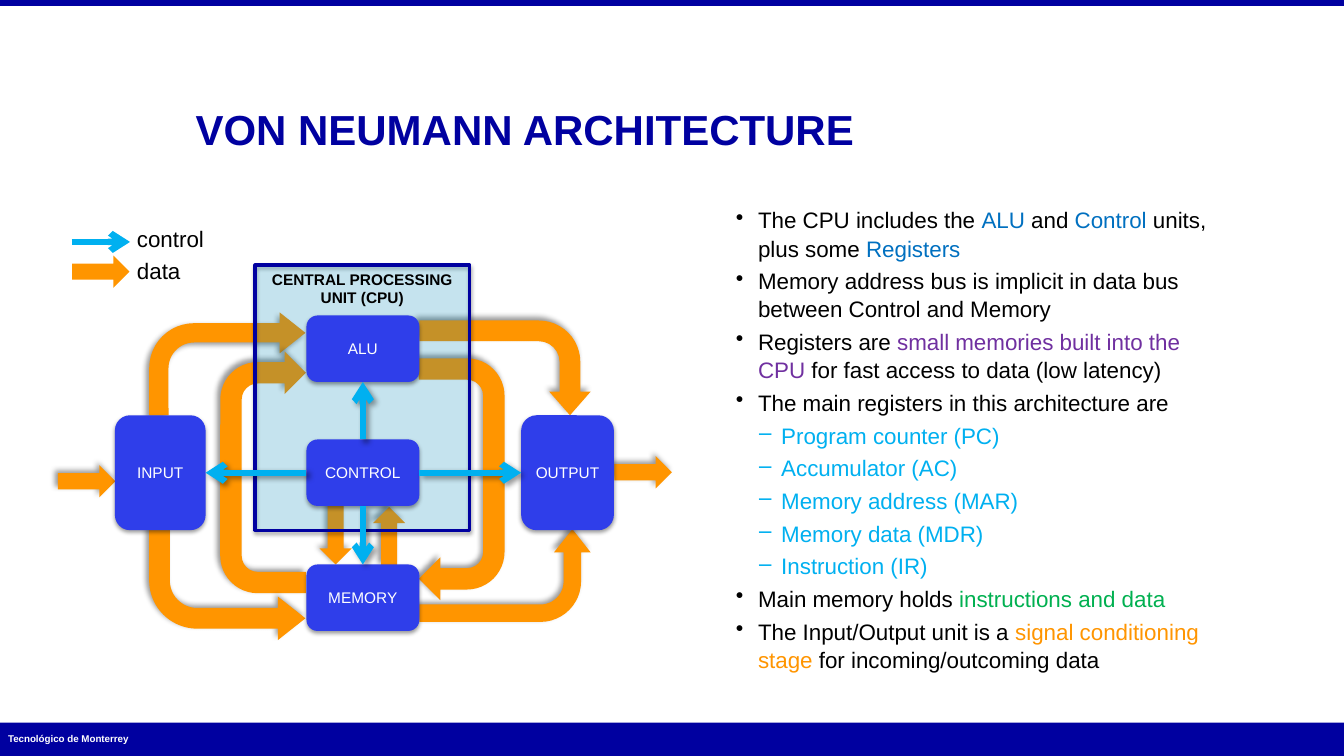
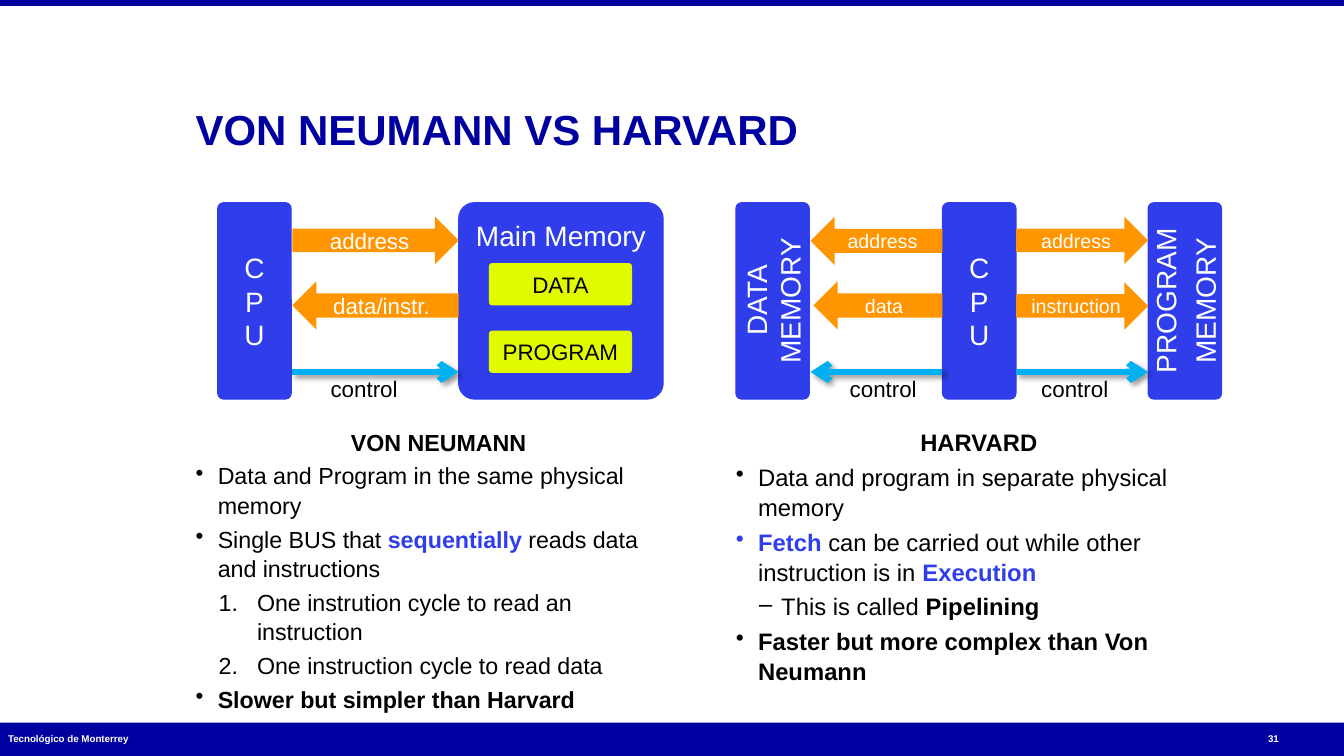
"""Builds two slides that compare the Von Neumann and Harvard architectures."""
from dataclasses import dataclass
from typing import Any, Optional

import lxml.etree
import pptx
import pptx.dml.color
import pptx.enum.shapes
import pptx.enum.text
import pptx.oxml.ns
import pptx.util

SHAPE = pptx.enum.shapes.MSO_SHAPE
ALIGN = pptx.enum.text.PP_ALIGN
ANCHOR = pptx.enum.text.MSO_ANCHOR
CELL = 0.1
COLUMNS, ROWS = 133.33, 75
FONT = "Arial"
NAVY, BLUE, CYAN, ORANGE = "0000A0", "2F3EEA", "00B0F0", "FF9500"
LIME, BLACK, WHITE = "E2FA00", "000000", "FFFFFF"
LINK, PURPLE, GREEN = "0070C0", "7030A0", "00B050"
BEND, WIDE_BEND = (0.188, 0.198, 0.25, 0.438), (0.219, 0.219, 0.25, 0.438)
UTURN = (0.25, 0.25, 0.25, 0.438, 1)
TOP, LEFT, BOTTOM, RIGHT = range(4)
Area = tuple[float, float, float, float]


@dataclass(frozen=True)
class Shadow:
    alpha: int
    blur: float
    distance: float
    angle: int


@dataclass(frozen=True)
class Arrow:
    kind: Any
    area: Area
    adjust: tuple[float, ...] = ()
    turn: int = 0
    flip: bool = False
    angle: int = 225


@dataclass(frozen=True)
class Unit:
    label: str
    area: Area


@dataclass(frozen=True)
class Label:
    text: str
    area: Area
    size: float = 16


@dataclass(frozen=True)
class Bus:
    kind: Any
    label: Label


@dataclass(frozen=True)
class Span:
    text: str
    color: str = BLACK
    bold: bool = False


@dataclass(frozen=True)
class Style:
    level: int = 0
    margin: float = 0.22
    hang: float = 0.22
    bullet: str = "•"


@dataclass(frozen=True)
class Item:
    spans: tuple[Span, ...]
    style: Optional[Style] = Style()


DASH = Style(1, 0.45, 0.22, "–")
NUMBER = Style(1, 0.61, 0.38, "1.")
BOX_SHADOW = Shadow(38, 3.1, 1.6, 90)
LINE_SHADOW = Shadow(40, 4, 3, 45)

DATA_ARROWS = (
    Arrow(SHAPE.UP_ARROW, (37, 50.3, 3.2, 5.8)),
    Arrow(SHAPE.DOWN_ARROW, (31.7, 50.2, 3.2, 5.8)),
    Arrow(SHAPE.BENT_ARROW, (14.8, 31, 15.5, 10.2), BEND, angle=135),
    Arrow(SHAPE.U_TURN_ARROW, (14.1, 42.6, 24, 8.5), UTURN, 270),
    Arrow(SHAPE.U_TURN_ARROW, (33.8, 43.3, 24, 8.5), UTURN, 90),
    Arrow(SHAPE.BENT_ARROW, (45.4, 28, 9.4, 17), WIDE_BEND, 90),
)
OUTER_ARROWS = (
    Arrow(SHAPE.BENT_ARROW, (45.5, 48.6, 9.2, 17), BEND, 270, True),
    Arrow(SHAPE.BENT_ARROW, (14.8, 52.6, 15.5, 10.9), BEND, flip=True),
    Arrow(SHAPE.RIGHT_ARROW, (5.75, 46.15, 5.7, 3.2)),
    Arrow(SHAPE.RIGHT_ARROW, (60.95, 45.25, 5.7, 3.2)),
)
UNITS = (
    Unit("ALU", (30.4, 31.3, 11.2, 6.6)),
    Unit("MEMORY", (30.4, 56, 11.2, 6.6)),
    Unit("CONTROL", (30.4, 43.6, 11.2, 6.6)),
    Unit("INPUT", (11.4, 41.2, 9, 11.4)),
    Unit("OUTPUT", (51.7, 41.2, 9.2, 11.4)),
)
CONTROL_LINKS = (("ALU", TOP, BOTTOM), ("OUTPUT", RIGHT, LEFT),
                 ("INPUT", LEFT, RIGHT), ("MEMORY", BOTTOM, TOP))
REGISTERS = ("Program counter (PC)", "Accumulator (AC)", "Memory address (MAR)",
             "Memory data (MDR)", "Instruction (IR)")
ARCHITECTURE = (
    Item((Span("The CPU includes the "), Span("ALU", LINK), Span(" and "), Span("Control", LINK),
          Span(" units, plus some "), Span("Registers", LINK))),
    Item((Span("Memory address bus is implicit in data bus between Control and Memory"),)),
    Item((Span("Registers are "), Span("small memories built into the CPU", PURPLE),
          Span(" for fast access to data (low latency)"))),
    Item((Span("The main registers in this architecture are"),)),
    *(Item((Span(name, CYAN),), DASH) for name in REGISTERS),
    Item((Span("Main memory holds "), Span("instructions and data", GREEN))),
    Item((Span("The Input/Output unit is a "), Span("signal conditioning stage", ORANGE),
          Span(" for incoming/outcoming data"))),
)
VON_NEUMANN = (
    Item((Span("VON NEUMANN", bold=True),), None),
    Item((Span("Data and Program in the same physical memory"),)),
    Item((Span("Single BUS that "), Span("sequentially", BLUE, True),
          Span(" reads data and instructions"))),
    Item((Span("One instrution cycle to read an instruction"),), NUMBER),
    Item((Span("One instruction cycle to read data"),), NUMBER),
    Item((Span("Slower but simpler than Harvard", bold=True),)),
)
HARVARD = (
    Item((Span("HARVARD", bold=True),), None),
    Item((Span("Data and program in separate physical memory"),)),
    Item((Span("Fetch ", BLUE, True), Span("can be carried out while other instruction is in "),
          Span("Execution", BLUE, True))),
    Item((Span("This is called "), Span("Pipelining", bold=True)), DASH),
    Item((Span("Faster but more complex than Von Neumann", bold=True),)),
)
BUSES = (
    Bus(SHAPE.RIGHT_ARROW, Label("address", (29, 21.5, 16.5, 4.7))),
    Bus(SHAPE.LEFT_ARROW, Label("data/instr.", (29, 27.9, 16.5, 4.8))),
    Bus(SHAPE.LEFT_ARROW, Label("address", (80.4, 21.5, 13.1, 4.8), 14)),
    Bus(SHAPE.LEFT_ARROW, Label("data", (80.7, 27.9, 12.8, 4.8), 14)),
    Bus(SHAPE.RIGHT_ARROW, Label("address", (100.8, 21.5, 13.1, 4.7), 14)),
    Bus(SHAPE.RIGHT_ARROW, Label("instruction", (100.8, 28, 13.1, 4.7), 14)),
)
TOWERS = ((21.6, "CPU", "wordArtVert"), (73, "DATA MEMORY", "vert270"),
          (93.5, "CPU", "wordArtVert"), (113.9, "PROGRAM\nMEMORY", "vert270"))
CONTROL_RUNS = ((29, 45.5, 32.8), (93.5, 80.4, 84.3), (100.8, 113.9, 103.3))


def cells(count: float) -> int:
    return pptx.util.Inches(count * CELL)


def rgb(color: str) -> Any:
    return pptx.dml.color.RGBColor.from_string(color)


def add_xml(parent: Any, tag: str, **attributes: Any) -> Any:
    return lxml.etree.SubElement(parent, pptx.oxml.ns.qn(tag),
                                 {key: str(value) for key, value in attributes.items()})


def set_effects(drawn: Any, shadow: Optional[Shadow]) -> None:
    properties = drawn.element.spPr
    effects = properties.find(pptx.oxml.ns.qn("a:effectLst"))
    if effects is None:
        effects = add_xml(properties, "a:effectLst")
    if shadow:
        outer = add_xml(effects, "a:outerShdw", blurRad=pptx.util.Pt(shadow.blur),
                        dist=pptx.util.Pt(shadow.distance), dir=shadow.angle * 60000,
                        rotWithShape=0)
        add_xml(add_xml(outer, "a:srgbClr", val=BLACK), "a:alpha", val=shadow.alpha * 1000)


def add_block(page: Any, kind: Any, area: Area, *, fill: str, alpha: int = 100, line: str = "",
              weight: float = 0.75, shadow: Optional[Shadow] = None,
              adjust: tuple[float, ...] = ()) -> Any:
    box = page.shapes.add_shape(kind, *map(cells, area))
    for index, value in enumerate(adjust):
        box.adjustments[index] = value
    box.fill.solid()
    box.fill.fore_color.rgb = rgb(fill)
    if alpha < 100:
        color = box.element.spPr.find(".//" + pptx.oxml.ns.qn("a:srgbClr"))
        add_xml(color, "a:alpha", val=alpha * 1000)
    if line:
        box.line.color.rgb = rgb(line)
        box.line.width = pptx.util.Pt(weight)
    else:
        box.line.fill.background()
    box.shadow.inherit = False
    set_effects(box, shadow)
    return box


def format_span(span: Any, *, size: float, color: str, bold: bool = False) -> None:
    span.font.name, span.font.size = FONT, pptx.util.Pt(size)
    span.font.bold, span.font.color.rgb = bold, rgb(color)


def set_text(box: Any, text: str, *, size: float, color: str = WHITE, bold: bool = False,
             align: Any = ALIGN.CENTER, anchor: Any = ANCHOR.MIDDLE, wrap: bool = True,
             insets: tuple[float, float] = (1, 0.5), gap: float = 4.3, flow: str = "") -> None:
    frame = box.text_frame
    frame.word_wrap, frame.vertical_anchor = wrap, anchor
    frame.margin_left = frame.margin_right = cells(insets[0])
    frame.margin_top = frame.margin_bottom = cells(insets[1])
    if flow:
        box.element.txBody.bodyPr.set("vert", flow)
    for index, words in enumerate(text.split("\n")):
        para = frame.add_paragraph() if index else frame.paragraphs[0]
        para.alignment = align
        if index:
            para.space_before = pptx.util.Pt(gap)
        span = para.add_run()
        span.text = words
        format_span(span, size=size, color=color, bold=bold)


def add_label(page: Any, label: Label, **style: Any) -> None:
    box = page.shapes.add_textbox(*map(cells, label.area))
    set_text(box, label.text, size=label.size, **style)


def add_list(page: Any, area: Area, items: tuple[Item, ...], *, size: float, anchor: Any) -> None:
    frame = page.shapes.add_textbox(*map(cells, area)).text_frame
    frame.word_wrap, frame.vertical_anchor = True, anchor
    frame.margin_left = frame.margin_right = frame.margin_top = frame.margin_bottom = 0
    for index, item in enumerate(items):
        para = frame.add_paragraph() if index else frame.paragraphs[0]
        style = item.style
        if style:
            properties = para._p.get_or_add_pPr()
            properties.set("marL", str(pptx.util.Inches(style.margin)))
            properties.set("indent", str(-pptx.util.Inches(style.hang)))
            if style is NUMBER:
                add_xml(properties, "a:buAutoNum", type="arabicPeriod")
            else:
                add_xml(properties, "a:buChar", char=style.bullet)
            para.level = style.level
        else:
            para.alignment = ALIGN.CENTER
        para.line_spacing = 1.05
        if index:
            para.space_before = pptx.util.Pt(round(size * 0.2, 1))
        for part in item.spans:
            span = para.add_run()
            span.text = part.text
            format_span(span, size=size, color=part.color, bold=part.bold)


def add_control(page: Any, start: tuple[float, float], end: tuple[float, float],
                shadow: Optional[Shadow] = LINE_SHADOW) -> Any:
    link = page.shapes.add_connector(pptx.enum.shapes.MSO_CONNECTOR.STRAIGHT,
                                     *map(cells, start + end))
    link.line.color.rgb = rgb(CYAN)
    link.line.width = pptx.util.Pt(4.5)
    add_xml(link.line._get_or_add_ln(), "a:tailEnd", type="arrow")
    set_effects(link, shadow)
    return link


def add_arrow(page: Any, arrow: Arrow) -> None:
    box = add_block(page, arrow.kind, arrow.area, fill=ORANGE, adjust=arrow.adjust,
                    shadow=Shadow(40, 4, 3, arrow.angle))
    box.rotation = arrow.turn
    if arrow.flip:
        box.element.spPr.xfrm.set("flipV", "1")


def add_page(deck: Any, title: str, number: str = "") -> Any:
    page = deck.slides.add_slide(deck.slide_layouts[6])
    for top, height in ((71.7, 3.5), (0, 0.6)):
        add_block(page, SHAPE.RECTANGLE, (0, top, COLUMNS, height), fill=NAVY)
    flush = {"align": ALIGN.LEFT, "insets": (0, 0), "bold": True}
    add_label(page, Label("Tecnológico de Monterrey", (0.8, 71.5, 37.2, 3.5), 7), **flush)
    add_label(page, Label(title, (19.4, 4.7, 101.8, 10.6), 30), color=NAVY,
              anchor=ANCHOR.BOTTOM, **flush)
    if number:
        add_label(page, Label(number, (125.8, 71.5, 4.7, 3.5), 7), **flush)
    return page


def draw_architecture(deck: Any) -> None:
    page = add_page(deck, "VON NEUMANN ARCHITECTURE")
    add_list(page, (73, 18.7, 48.2, 49.7), ARCHITECTURE, size=16, anchor=ANCHOR.MIDDLE)
    for arrow in DATA_ARROWS:
        add_arrow(page, arrow)
    add_block(page, SHAPE.RECTANGLE, (25.3, 26.3, 21.3, 26.3), fill=CYAN, alpha=17, line=NAVY,
              weight=2.25, shadow=BOX_SHADOW)
    add_label(page, Label("CENTRAL PROCESSING UNIT (CPU)", (25.3, 26.3, 21.3, 4.7), 11),
              color=BLACK, bold=True, anchor=ANCHOR.TOP)
    for arrow in OUTER_ARROWS:
        add_arrow(page, arrow)
    boxes = {}
    for unit in UNITS:
        boxes[unit.label] = add_block(page, SHAPE.ROUNDED_RECTANGLE, unit.area, fill=BLUE,
                                      shadow=BOX_SHADOW)
        set_text(boxes[unit.label], unit.label, size=11)
    for target, leave, arrive in CONTROL_LINKS:
        link = add_control(page, (36, 46.9), (36, 46.9))
        link.begin_connect(boxes["CONTROL"], leave)
        link.end_connect(boxes[target], arrive)
    add_block(page, SHAPE.RIGHT_ARROW, (7.15, 25.35, 5.7, 3.2), fill=ORANGE)
    add_control(page, (7.1, 24), (12.9, 24), None)
    for label in (Label("data", (12.6, 25, 6.5, 3.7)), Label("control", (12.6, 21.8, 8.9, 3.7))):
        add_label(page, label, color=BLACK, align=ALIGN.LEFT, anchor=ANCHOR.TOP)


def draw_comparison(deck: Any) -> None:
    page = add_page(deck, "VON NEUMANN VS HARVARD", "31")
    add_list(page, (19.4, 42.3, 48.2, 26.9), VON_NEUMANN, size=16.6, anchor=ANCHOR.TOP)
    add_list(page, (73, 42.3, 48.2, 26.1), HARVARD, size=17, anchor=ANCHOR.TOP)
    solid = {"fill": BLUE, "line": BLUE, "adjust": (0.081,)}
    memory = add_block(page, SHAPE.ROUNDED_RECTANGLE, (45.5, 20.1, 20.3, 19.5), **solid)
    set_text(memory, "Main Memory", size=20, anchor=ANCHOR.TOP, insets=(1, 1.1))
    for row, name in enumerate(("DATA", "PROGRAM")):
        part = add_block(page, SHAPE.ROUNDED_RECTANGLE, (48.5, 26.1 + 6.7 * row, 14.2, 4.2),
                         fill=LIME, adjust=(0.081,))
        set_text(part, name, size=16, color=BLACK)
    for left, name, flow in TOWERS:
        tower = add_block(page, SHAPE.ROUNDED_RECTANGLE, (left, 20.1, 7.3, 19.5), **solid)
        set_text(tower, name, size=20, flow=flow)
    for bus in BUSES:
        set_text(add_block(page, bus.kind, bus.label.area, fill=ORANGE), bus.label.text,
                 size=bus.label.size)
    for start, end, left in CONTROL_RUNS:
        add_control(page, (start, 36.9), (end, 36.9))
        add_label(page, Label("control", (left, 37.2, 6.7, 2.7)), color=BLACK, align=ALIGN.LEFT,
                  anchor=ANCHOR.TOP, wrap=False, insets=(0, 0))


def main() -> None:
    deck = pptx.Presentation()
    deck.slide_width, deck.slide_height = cells(COLUMNS), cells(ROWS)
    draw_architecture(deck)
    draw_comparison(deck)
    deck.save("out.pptx")


if __name__ == "__main__":
    main()
